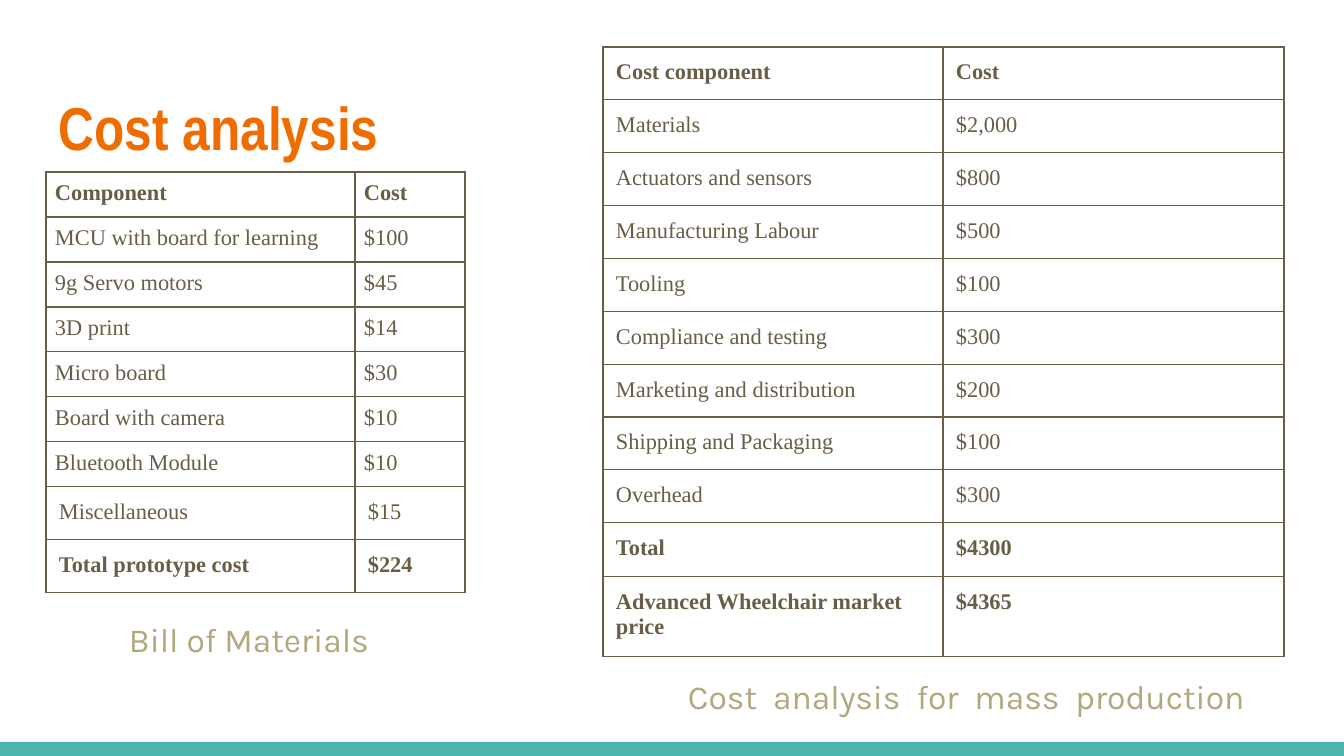
import pptx
import pptx.dml.color
import pptx.enum.shapes
import pptx.oxml
import pptx.oxml.ns
import pptx.util
from lxml import etree

RGB = pptx.dml.color.RGBColor
TEAL = RGB(0x4D, 0xB6, 0xAC)
ORANGE = RGB(0xEF, 0x6C, 0x00)
SAND = RGB(0xB3, 0xA7, 0x7D)
BROWN = RGB(0x69, 0x5D, 0x46)
SCALE = 9144000 / 1344
PAD = 13

PARTS = [
    ("Component", "Cost"),
    ("MCU with board for learning", "$100"),
    ("9g Servo motors", "$45"),
    ("3D print", "$14"),
    ("Micro board", "$30"),
    ("Board with camera", "$10"),
    ("Bluetooth Module", "$10"),
    ("Miscellaneous", "$15"),
    ("Total prototype cost", "$224"),
]
COSTS = [
    ("Cost component", "Cost"),
    ("Materials", "$2,000"),
    ("Actuators and sensors", "$800"),
    ("Manufacturing Labour", "$500"),
    ("Tooling", "$100"),
    ("Compliance and testing", "$300"),
    ("Marketing and distribution", "$200"),
    ("Shipping and Packaging", "$100"),
    ("Overhead", "$300"),
    ("Total", "$4300"),
    ("Advanced Wheelchair market price", "$4365"),
]


def px(n):
    return pptx.util.Emu(round(n * SCALE))


def inset(item, pad):
    item.margin_left = item.margin_right = px(pad)
    item.margin_top = item.margin_bottom = px(pad)


def add_run(para, text, font, size, color, bold=False):
    run = para.add_run()
    run.text = text
    run.font.name = font
    run.font.size = pptx.util.Pt(size)
    run.font.color.rgb = color
    run.font.bold = bold


def add_label(slide, box, text, font, size, color, bold=False, lead=1.0):
    frame = slide.shapes.add_textbox(*map(px, box)).text_frame
    frame.word_wrap = True
    inset(frame, PAD)
    para = frame.paragraphs[0]
    para.line_spacing = lead
    add_run(para, text, font, size, color, bold)


def add_bar(slide, box, color):
    kind = pptx.enum.shapes.MSO_SHAPE.RECTANGLE
    bar = slide.shapes.add_shape(kind, *map(px, box))
    bar.shadow.inherit = False
    bar.fill.solid()
    bar.fill.fore_color.rgb = color
    bar.line.fill.background()


def set_edges(cell, width):
    qn = pptx.oxml.ns.qn
    props = cell._tc.get_or_add_tcPr()
    for side in ("lnL", "lnR", "lnT", "lnB"):
        line = etree.SubElement(props, qn("a:" + side), w=str(pptx.util.Pt(width)))
        fill = etree.SubElement(line, qn("a:solidFill"))
        etree.SubElement(fill, qn("a:srgbClr"), val=str(BROWN))


def add_grid(slide, left, top, cols, rows, data, bold, style):
    """Draw a table; style gives (inset, border width) for a row index."""
    box = (left, top, sum(cols), sum(rows))
    grid = slide.shapes.add_table(len(rows), len(cols), *map(px, box)).table
    grid.first_row = grid.horz_banding = False
    for col, width in zip(grid.columns, cols):
        col.width = px(width)
    for r, (height, texts) in enumerate(zip(rows, data)):
        grid.rows[r].height = px(height)
        pad, width = style(r)
        for c, text in enumerate(texts):
            cell = grid.cell(r, c)
            inset(cell, pad)
            set_edges(cell, width)
            cell.fill.background()
            para = cell.text_frame.paragraphs[0]
            add_run(para, text, "Times New Roman", 12, BROWN, r in bold)


def main():
    deck = pptx.Presentation()
    deck.slide_width, deck.slide_height = px(1344), px(756)
    slide = deck.slides.add_slide(deck.slide_layouts[6])
    add_bar(slide, (0, 742, 1344, 14), TEAL)
    add_label(slide, (46, 66, 1252, 103), "Cost analysis",
              "Arial Narrow", 32.4, ORANGE, True, 1.15)
    add_label(slide, (116, 606, 332, 81), "Bill of Materials",
              "Karla", 18, SAND)
    add_label(slide, (675, 657, 623, 99), "Cost  analysis  for  mass  production",
              "Karla", 18, SAND, lead=1.15)
    add_grid(slide, 603, 47, [340, 341], [52] * 9 + [54, 76], COSTS,
             {0, 9, 10}, lambda r: (PAD, 0.75))
    add_grid(slide, 46, 172, [309, 110], [44] * 7 + [53] * 2, PARTS,
             {0, 8}, lambda r: (9, 1) if r < 7 else (PAD, 0.75))
    deck.save("out.pptx")


if __name__ == "__main__":
    main()
